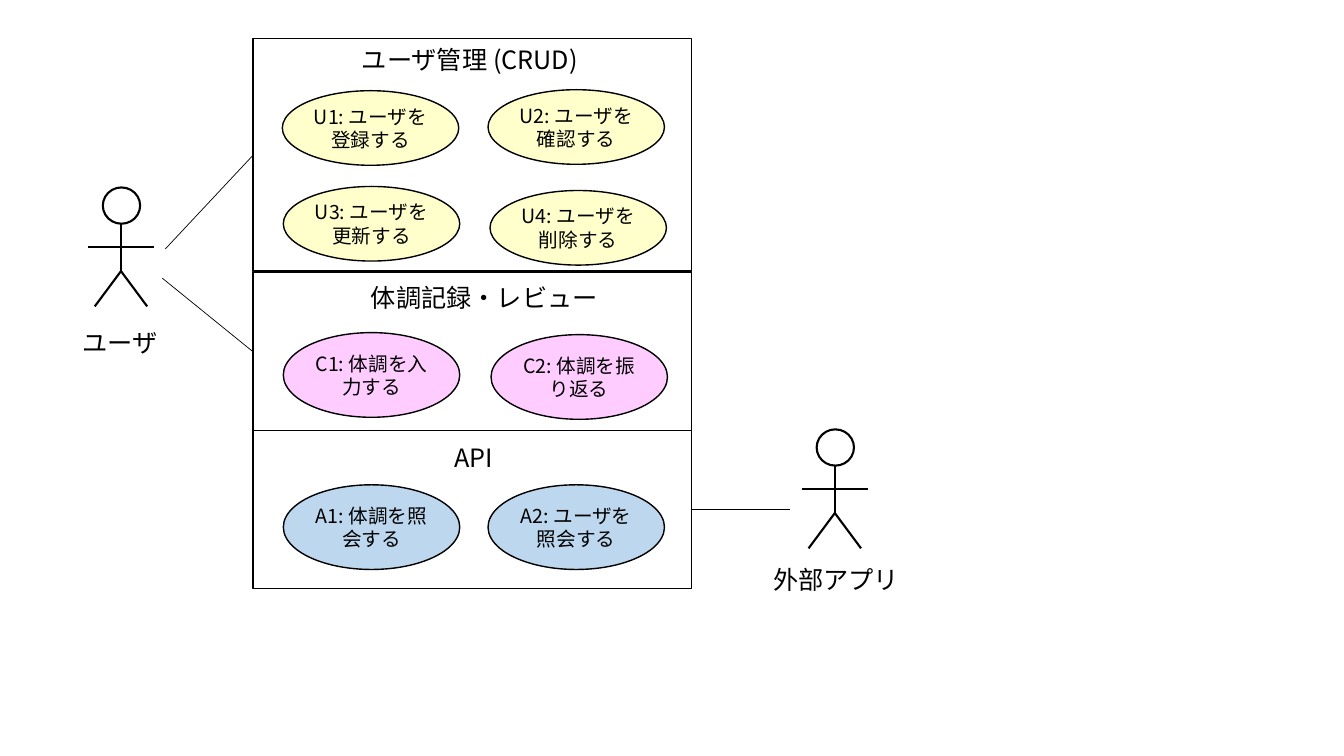
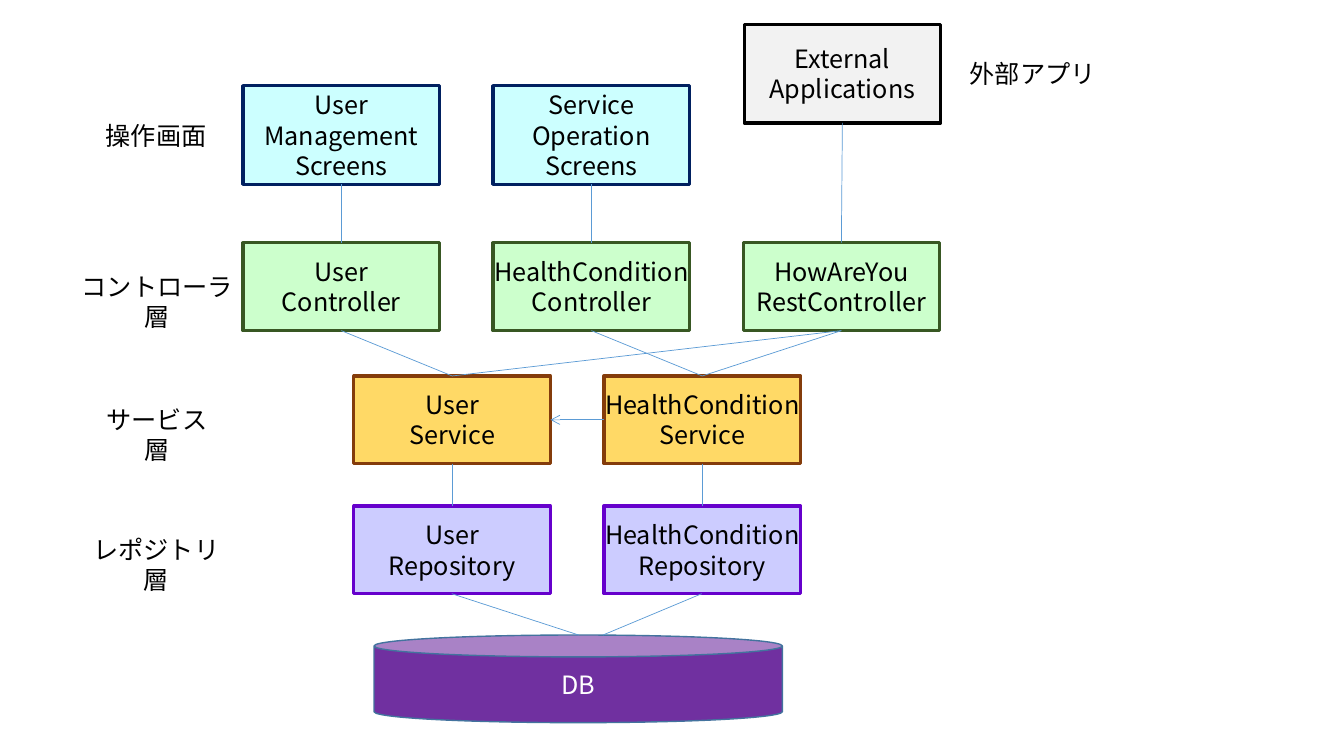
from lxml import etree
from pptx import Presentation
from pptx.dml.color import RGBColor
from pptx.enum.shapes import MSO_CONNECTOR, MSO_SHAPE
from pptx.enum.text import MSO_ANCHOR, MSO_AUTO_SIZE, PP_ALIGN
from pptx.oxml.ns import qn
from pptx.util import Inches, Pt

RECTANGLE, OVAL, CAN = MSO_SHAPE.RECTANGLE, MSO_SHAPE.OVAL, MSO_SHAPE.CAN
STRAIGHT = MSO_CONNECTOR.STRAIGHT
MIDDLE, TOP_ANCHOR = MSO_ANCHOR.MIDDLE, MSO_ANCHOR.TOP
LEFT_ALIGN, CENTER = PP_ALIGN.LEFT, PP_ALIGN.CENTER
GROW = MSO_AUTO_SIZE.SHAPE_TO_FIT_TEXT
TOP, LEFT, BOTTOM, RIGHT = range(4)

FONT = "Noto Sans CJK JP"
BLACK = RGBColor(0x00, 0x00, 0x00)
WHITE = RGBColor(0xFF, 0xFF, 0xFF)
YELLOW = RGBColor(0xFF, 0xFF, 0xCC)
PINK = RGBColor(0xFF, 0xCC, 0xFF)
PALE_BLUE = RGBColor(0xBD, 0xD7, 0xEE)
CYAN = RGBColor(0xCC, 0xFF, 0xFF)
NAVY = RGBColor(0x00, 0x20, 0x60)
GRAY = RGBColor(0xF2, 0xF2, 0xF2)
GREEN = RGBColor(0xCC, 0xFF, 0xCC)
DARK_GREEN = RGBColor(0x38, 0x57, 0x23)
GOLD = RGBColor(0xFF, 0xD9, 0x66)
BROWN = RGBColor(0x84, 0x3C, 0x0B)
LAVENDER = RGBColor(0xCC, 0xCC, 0xFF)
VIOLET = RGBColor(0x66, 0x00, 0xCC)
PURPLE = RGBColor(0x70, 0x30, 0xA0)
STEEL = RGBColor(0x43, 0x73, 0x9E)
LINK_BLUE = RGBColor(0x5B, 0x9B, 0xD5)


def write_text(frame, text, size=18, color=BLACK, align=CENTER, anchor=MIDDLE,
               inset=0.1, wrap=True):
    """Fill a text frame; a newline starts a paragraph, a vertical tab a line."""
    frame.text = text
    frame.word_wrap = wrap
    frame.vertical_anchor = anchor
    frame.margin_left = frame.margin_right = Inches(inset)
    frame.margin_top = frame.margin_bottom = Inches(inset / 2)
    for paragraph in frame.paragraphs:
        paragraph.alignment = align
        for run in paragraph.runs:
            run.font.name = FONT
            run.font.size = Pt(size)
            run.font.color.rgb = color
            latin = run.font._element.find(qn("a:latin"))
            east_asian = etree.Element(qn("a:ea"), typeface=FONT)
            latin.addnext(east_asian)


class Diagram:
    """Draws styled elements on the current slide."""

    def __init__(self, presentation):
        self.presentation = presentation
        self.slide = None

    def new_slide(self):
        """Start a blank slide."""
        self.slide = self.presentation.slides.add_slide(
            self.presentation.slide_layouts[6])

    def shape(self, kind, left, top, width, height, fill=None, line=BLACK,
              weight=1, parent=None):
        """Add an outlined preset shape."""
        shape = (parent or self.slide).shapes.add_shape(
            kind, Inches(left), Inches(top), Inches(width), Inches(height))
        shape.shadow.inherit = False
        if fill is None:
            shape.fill.background()
        else:
            shape.fill.solid()
            shape.fill.fore_color.rgb = fill
        shape.line.color.rgb = line
        shape.line.width = Pt(weight)
        return shape

    def line(self, start, end, color=BLACK, weight=0.5, arrow=False, parent=None):
        """Add a straight line between two points."""
        points = [Inches(value) for value in (*start, *end)]
        connector = (parent or self.slide).shapes.add_connector(STRAIGHT, *points)
        connector.line.color.rgb = color
        connector.line.width = Pt(weight)
        if arrow:
            outline = connector.line._get_or_add_ln()
            etree.SubElement(outline, qn("a:tailEnd"), type="arrow")
        etree.SubElement(connector._element.spPr, qn("a:effectLst"))
        return connector

    def link(self, source, target, source_side=BOTTOM, target_side=TOP, arrow=False):
        """Connect the sides of two boxes."""
        connector = self.line((0, 0), (0, 0), LINK_BLUE, arrow=arrow)
        connector.begin_connect(source, source_side)
        connector.end_connect(target, target_side)

    def label(self, text, left, top, width, height=0.4, align=LEFT_ALIGN):
        """Add free text that does not wrap."""
        box = self.slide.shapes.add_textbox(
            Inches(left), Inches(top), Inches(width), Inches(height))
        write_text(box.text_frame, text, align=align, anchor=TOP_ANCHOR, wrap=False)
        box.text_frame.auto_size = GROW

    def use_case(self, text, left, top, height, fill):
        """Add a use case oval."""
        oval = self.shape(OVAL, left, top, 1.75, height, fill)
        write_text(oval.text_frame, text, size=14, inset=0)

    def actor(self, center, top):
        """Add a grouped stick figure."""
        figure = self.slide.shapes.add_group_shape()
        self.shape(OVAL, center - 0.18, top, 0.37, 0.36, weight=1.5, parent=figure)
        arms, hips, feet = top + 0.59, top + 0.83, top + 1.18
        for start, end in (
            ((center - 0.33, arms), (center + 0.33, arms)),
            ((center, hips), (center, top + 0.36)),
            ((center - 0.26, feet), (center, hips)),
            ((center + 0.26, feet), (center, hips)),
        ):
            self.line(start, end, weight=1.5, parent=figure)

    def component(self, text, left, top, height, fill, line):
        """Add a component box; text without forced breaks wraps."""
        box = self.shape(RECTANGLE, left, top, 1.95, height, fill, line, 2.25)
        wrap = "\v" not in text
        write_text(box.text_frame, text, inset=0.1 if wrap else 0, wrap=wrap)
        return box

    def layer(self, names, left, top, height, fill, line):
        """Add a row of equally spaced components."""
        return [self.component(name, left + 2.48 * column, top, height, fill, line)
                for column, name in enumerate(names)]


def draw_use_cases(diagram):
    """Draw the use case slide."""
    diagram.new_slide()
    for top, height in ((0.38, 2.31), (2.7, 1.57), (4.27, 1.57)):
        diagram.shape(RECTANGLE, 2.51, top, 4.35, height)
    for text, left, top, width in (
        ("ユーザ管理 (CRUD)", 3.49, 0.39, 2.45),
        ("体調記録・レビュー", 3.58, 2.75, 2.47),
        ("API", 4.41, 4.34, 0.61),
        ("ユーザ", 0.72, 3.2, 0.96),
        ("外部アプリ", 7.57, 5.55, 1.46),
    ):
        diagram.label(text, left, top, width)
    for text, left, top, height, fill in (
        ("U1: ユーザを登録する", 2.8, 0.9, 0.74, YELLOW),
        ("U2: ユーザを確認する", 4.84, 0.89, 0.74, YELLOW),
        ("U3: ユーザを更新する", 2.81, 1.85, 0.74, YELLOW),
        ("U4: ユーザを削除する", 4.86, 1.89, 0.74, YELLOW),
        ("C1: 体調を入力する", 2.81, 3.3, 0.84, PINK),
        ("C2: 体調を振り返る", 4.87, 3.32, 0.84, PINK),
        ("A1: 体調を照会する", 2.81, 4.81, 0.84, PALE_BLUE),
        ("A2: ユーザを照会する", 4.84, 4.81, 0.84, PALE_BLUE),
    ):
        diagram.use_case(text, left, top, height, fill)
    diagram.actor(1.2, 1.86)
    diagram.actor(8.28, 4.26)
    diagram.line((1.64, 2.47), (2.51, 1.54))
    diagram.line((1.61, 2.76), (2.51, 3.49))
    diagram.line((6.86, 5.05), (7.84, 5.05))


def draw_architecture(diagram):
    """Draw the layered architecture slide."""
    diagram.new_slide()
    screens = diagram.layer(
        ("User Management Screens", "Service Operation Screens"),
        2.41, 0.85, 0.98, CYAN, NAVY)
    external = diagram.component("External Applications", 7.38, 0.24, 0.98, GRAY, BLACK)
    controllers = diagram.layer(
        ("User\vController", "HealthCondition\vController", "HowAreYou\vRestController"),
        2.41, 2.41, 0.87, GREEN, DARK_GREEN)
    services = diagram.layer(
        ("User\vService", "HealthCondition\vService"), 3.51, 3.73, 0.87, GOLD, BROWN)
    repositories = diagram.layer(
        ("User\vRepository", "HealthCondition\vRepository"),
        3.51, 5.02, 0.87, LAVENDER, VIOLET)
    database = diagram.shape(CAN, 3.71, 6.3, 4.05, 0.87, PURPLE, STEEL)
    write_text(database.text_frame, "DB", color=WHITE)

    for source, target in (
        *zip([*screens, external], controllers),
        *zip(controllers, services),
        *((controllers[2], service) for service in services),
        *zip(services, repositories),
    ):
        diagram.link(source, target)
    diagram.link(services[1], services[0], LEFT, RIGHT, arrow=True)
    diagram.line((4.48, 5.89), (5.74, 6.3), LINK_BLUE)
    diagram.line((6.96, 5.89), (5.98, 6.3), LINK_BLUE)

    diagram.label("操作画面", 0.95, 1.14, 1.21)
    diagram.label("外部アプリ", 9.52, 0.53, 1.46)
    for name, left, top, width in (
        ("コントローラ", 0.7, 2.64, 1.72),
        ("サービス", 0.95, 3.96, 1.21),
        ("レポジトリ", 0.82, 5.25, 1.46),
    ):
        diagram.label(name + "\n層", left, top, width, 0.71, CENTER)


def main():
    """Build and save the presentation."""
    presentation = Presentation()
    presentation.slide_width = Inches(13.33)
    presentation.slide_height = Inches(7.5)
    diagram = Diagram(presentation)
    draw_use_cases(diagram)
    draw_architecture(diagram)
    presentation.save("out.pptx")


main()
